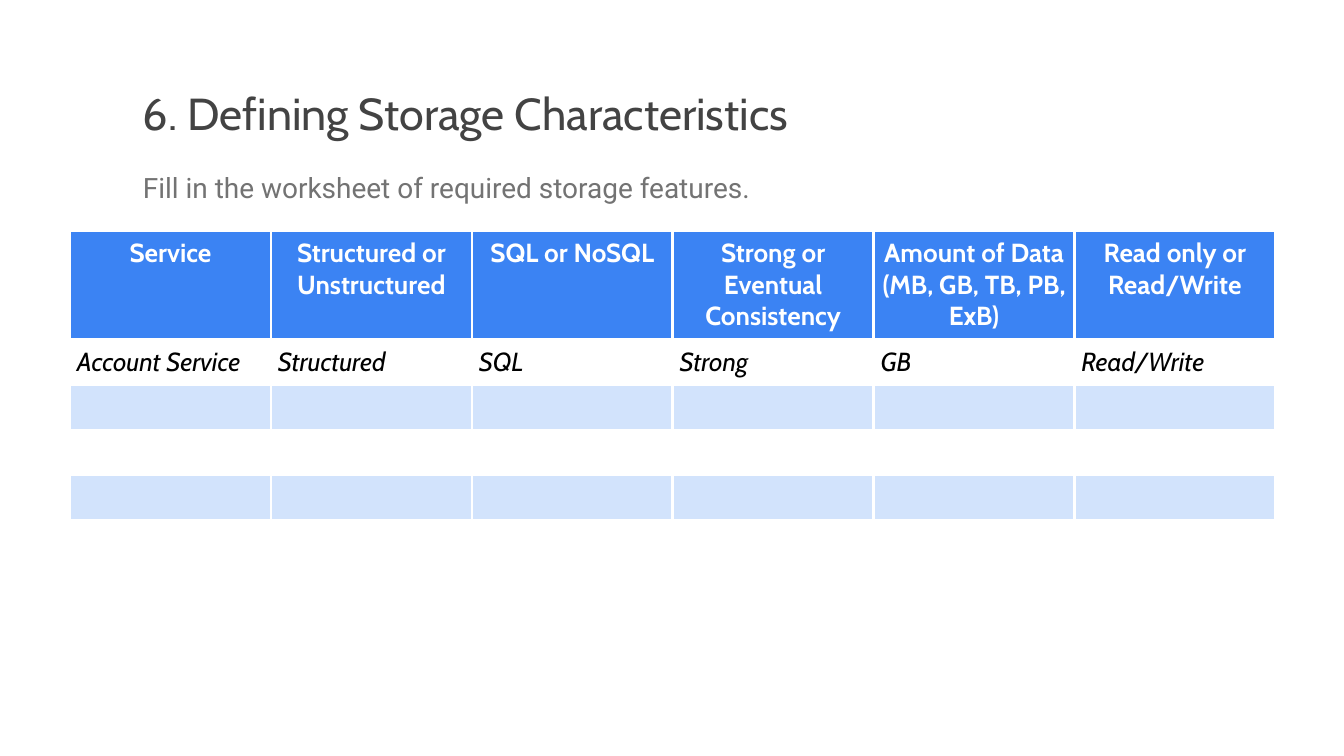
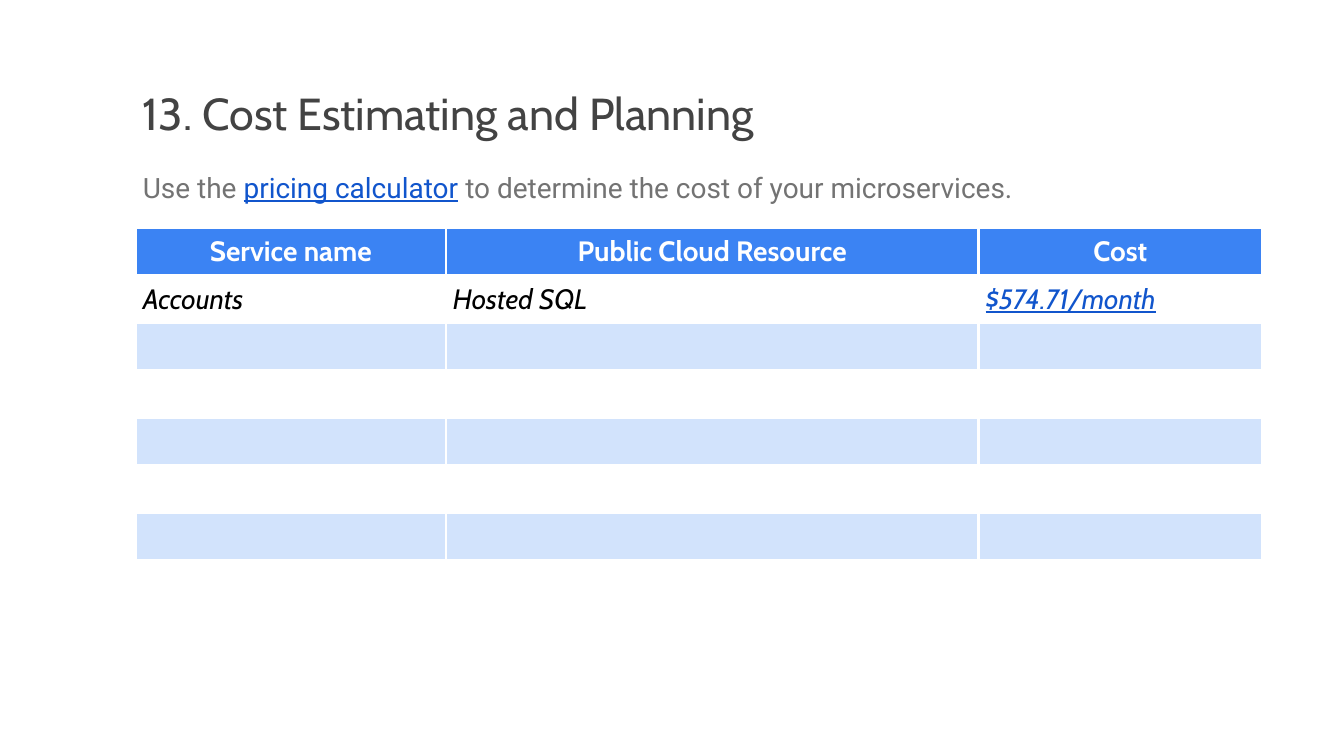
"""Build two worksheet slides: storage characteristics and cost estimating."""
from dataclasses import dataclass

from lxml.etree import SubElement
from pptx import Presentation
from pptx.dml.color import RGBColor
from pptx.enum.text import MSO_ANCHOR, PP_ALIGN
from pptx.oxml.ns import qn
from pptx.util import Emu, Pt

EMU_PER_PX = 9525


@dataclass(frozen=True)
class Theme:
    heading_font: str = "Cabin"
    body_font: str = "Roboto"
    title_size: int = 48
    subtitle_size: int = 30
    title: str = "434343"
    subtitle: str = "737373"
    link: str = "1155CC"
    header_text: str = "FFFFFF"
    cell_text: str = "000000"
    header_fill: str = "3B83F3"
    band_fill: str = "D2E3FC"
    border: str = "FFFFFF"
    border_width: int = 3
    inset: int = 10


class Link(str):
    """Text shown in the link style."""


def px(length):
    return Emu(length * EMU_PER_PX)


def write(paragraph, text, *, font, size, color, bold=False, italic=False, underline=False):
    run = paragraph.add_run()
    run.text = text
    run.font.name = font
    run.font.size = Pt(size)
    run.font.color.rgb = RGBColor.from_string(color)
    run.font.bold = bold
    run.font.italic = italic
    run.font.underline = underline


class Deck:
    def __init__(self, theme):
        self.theme = theme
        self.presentation = Presentation()
        self.presentation.slide_width = px(1920)
        self.presentation.slide_height = px(1080)
        self.slide = None

    def add_slide(self, title, *subtitle):
        theme = self.theme
        self.slide = self.presentation.slides.add_slide(self.presentation.slide_layouts[6])
        self.text((194, 113, 1534, 113), [title], font=theme.heading_font,
                  size=theme.title_size, color=theme.title)
        paragraph = self.text((194, 226, 1608, 75), subtitle, font=theme.body_font,
                              size=theme.subtitle_size, color=theme.subtitle)
        paragraph.line_spacing = 1.15
        paragraph.space_after = Pt(16)

    def text(self, box, pieces, **style):
        frame = self.slide.shapes.add_textbox(*map(px, box)).text_frame
        frame.word_wrap = True
        self.set_insets(frame)
        self.fill_paragraph(frame.paragraphs[0], pieces, **style)
        return frame.paragraphs[0]

    def fill_paragraph(self, paragraph, pieces, **style):
        for piece in pieces:
            link = {"color": self.theme.link, "underline": True} if isinstance(piece, Link) else {}
            write(paragraph, piece, **{**style, **link})

    def set_insets(self, target):
        for side in ("left", "right", "top", "bottom"):
            setattr(target, f"margin_{side}", px(self.theme.inset))

    def worksheet(self, left, top, widths, heights, header, example, size):
        theme = self.theme
        table = self.slide.shapes.add_table(
            len(heights), len(widths), px(left), px(top), px(sum(widths)), px(sum(heights))).table
        table.first_row = table.horz_banding = False
        for column, width in zip(table.columns, widths):
            column.width = px(width)
        for row, height in zip(table.rows, heights):
            row.height = px(height)
        for row_index, row in enumerate(table.rows):
            for cell in row.cells:
                self.format_cell(cell, row_index)
        for cell, text in zip(table.rows[0].cells, header):
            paragraph = cell.text_frame.paragraphs[0]
            paragraph.alignment = PP_ALIGN.CENTER
            self.fill_paragraph(paragraph, [text], font=theme.heading_font, size=size,
                                color=theme.header_text, bold=True)
        for cell, text in zip(table.rows[1].cells, example):
            self.fill_paragraph(cell.text_frame.paragraphs[0], [text], font=theme.heading_font,
                                size=size, color=theme.cell_text, italic=True)

    def format_cell(self, cell, row_index):
        self.set_insets(cell)
        cell.vertical_anchor = MSO_ANCHOR.TOP
        properties = cell._tc.get_or_add_tcPr()
        for side in ("lnL", "lnR", "lnT", "lnB"):
            line = SubElement(properties, qn(f"a:{side}"), w=str(Pt(self.theme.border_width)))
            SubElement(SubElement(line, qn("a:solidFill")), qn("a:srgbClr"), val=self.theme.border)
        if row_index % 2:
            cell.fill.background()
        else:
            cell.fill.solid()
            color = self.theme.band_fill if row_index else self.theme.header_fill
            cell.fill.fore_color.rgb = RGBColor.from_string(color)


def main():
    deck = Deck(Theme())

    deck.add_slide("6. Defining Storage Characteristics",
                   "Fill in the worksheet of required storage features.")
    deck.worksheet(
        100, 329, widths=[287] * 6, heights=[155] + [65] * 5, size=28,
        header=["Service", "Structured or Unstructured", "SQL or NoSQL",
                "Strong or Eventual Consistency", "Amount of Data (MB, GB, TB, PB, ExB)",
                "Read only or Read/Write"],
        example=["Account Service", "Structured", "SQL", "Strong", "GB", "Read/Write"])

    deck.add_slide("13. Cost Estimating and Planning", "Use the ", Link("pricing calculator"),
                   " to determine the cost of your microservices.")
    deck.worksheet(
        194, 325, widths=[443, 761, 405], heights=[68] * 8, size=30,
        header=["Service name", "Public Cloud Resource", "Cost"],
        example=["Accounts", "Hosted SQL", Link("$574.71/month")])

    deck.presentation.save("out.pptx")


if __name__ == "__main__":
    main()
